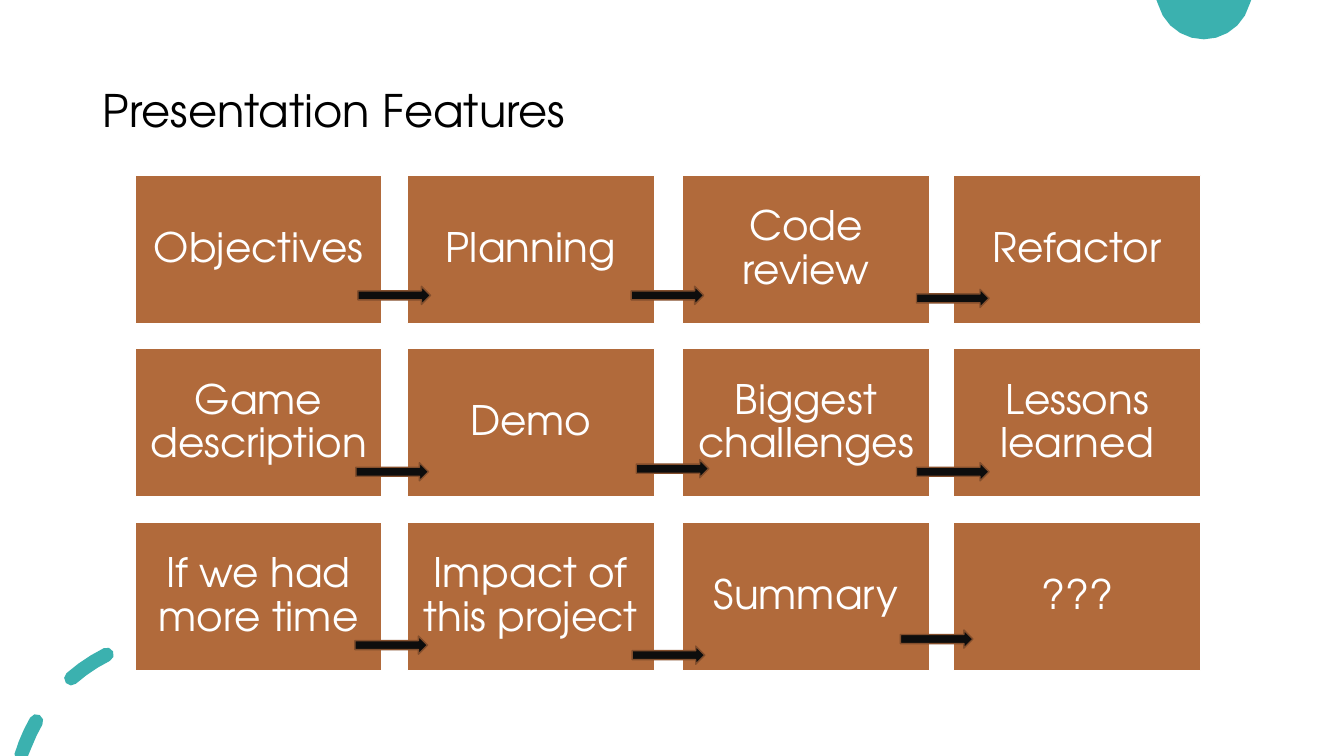
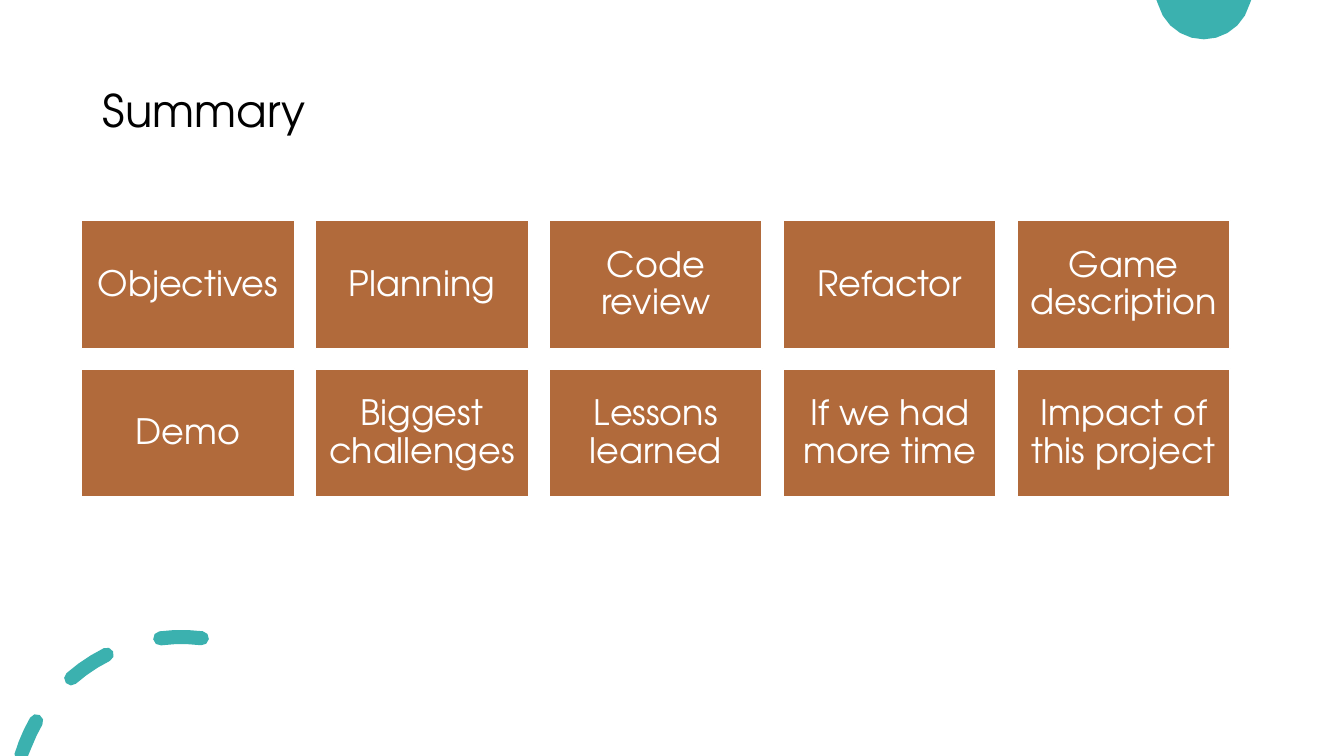
import math
import pptx
import pptx.util
import pptx.dml.color
import pptx.enum.shapes
import pptx.enum.text

Inches = pptx.util.Inches
Pt = pptx.util.Pt
SHAPE = pptx.enum.shapes.MSO_SHAPE
ALIGN = pptx.enum.text.PP_ALIGN

WIDE, HIGH = 13.33, 7.5
FACE = "TeX Gyre Adventor"
TEAL, RUST, BROWN = "3BB1AF", "B16A3B", "834E2C"
BLACK, INK, WHITE = "000000", "0D0D0D", "FFFFFF"

ARC = (1.8, 7.98, 1.66)
BRUSH = 0.07
DASHES = [(150.2, 163.2), (116.5, 131.2), (83, 97.3)]
DISC = (11.94, -0.08, 0.47)

TOPICS = ["Objectives", "Planning", "Code review", "Refactor",
          "Game description", "Demo", "Biggest challenges",
          "Lessons learned", "If we had more time",
          "Impact of this project"]
ARROWS = [(3.55, 2.84), (6.26, 2.84), (9.09, 2.87),
          (3.53, 4.59), (6.31, 4.56), (9.09, 4.59),
          (3.52, 6.31), (6.27, 6.41), (8.93, 6.25)]


def color(code):
    return pptx.dml.color.RGBColor.from_string(code)


def assign(item, values):
    for name, value in values.items():
        setattr(item, name, value)


def paint(shape, fill, line=None):
    shape.shadow.inherit = False
    shape.fill.solid()
    shape.fill.fore_color.rgb = color(fill)
    if line:
        shape.line.color.rgb = color(line)
        shape.line.width = Pt(1)
    else:
        shape.line.fill.background()


def write(shape, text, size, tint, align, inset):
    frame = shape.text_frame
    frame.text = text
    assign(frame, {
        "word_wrap": True,
        "auto_size": pptx.enum.text.MSO_AUTO_SIZE.NONE,
        "vertical_anchor": pptx.enum.text.MSO_ANCHOR.MIDDLE,
        "margin_left": Inches(inset),
        "margin_right": Inches(inset),
        "margin_top": Inches(inset),
        "margin_bottom": Inches(inset),
    })
    para = frame.paragraphs[0]
    assign(para, {"alignment": align, "line_spacing": 0.9})
    font = para.runs[0].font
    assign(font, {"name": FACE, "size": Pt(size), "bold": False})
    font.color.rgb = color(tint)


def sweep(mid, start, end, steps):
    left, top, reach = mid
    turns = [math.radians(start + (end - start) * step / steps)
             for step in range(steps + 1)]
    return [(left + reach * math.cos(turn), top - reach * math.sin(turn))
            for turn in turns]


def dash(start, end):
    left, top, reach = ARC
    head, tail = sweep(ARC, start, end, 1)
    return (sweep((*head, BRUSH), start + 180, start + 360, 4)
            + sweep((left, top, reach + BRUSH), start, end, 3)[1:-1]
            + sweep((*tail, BRUSH), end, end + 180, 4)
            + sweep((left, top, reach - BRUSH), end, start, 3)[1:-1])


def outline(slide, loops):
    pen = None
    for loop in loops:
        spots = [(Inches(left), Inches(min(max(top, 0), HIGH)))
                 for left, top in loop]
        if pen:
            pen.move_to(*spots[0])
        else:
            pen = slide.shapes.build_freeform(*spots[0])
        pen.add_line_segments(spots[1:], close=True)
    paint(pen.convert_to_shape(), TEAL)


def page(deck, text):
    slide = deck.slides.add_slide(deck.slide_layouts[5])
    title = slide.shapes.title
    assign(title, {"left": Inches(0.92), "top": Inches(0.4),
                   "width": Inches(11.5), "height": Inches(1.45)})
    write(title, text, 32, BLACK, ALIGN.LEFT, 0.1)
    outline(slide, [sweep(DISC, 180, 360, 12)])
    outline(slide, [dash(*span) for span in DASHES])
    return slide


def block(slide, kind, box, fill, line):
    shape = slide.shapes.add_shape(kind, *map(Inches, box))
    paint(shape, fill, line)
    return shape


def grid(slide, texts, lefts, tops, width, height, size, inset):
    spots = [(left, top) for top in tops for left in lefts]
    for text, spot in zip(texts, spots):
        card = block(slide, SHAPE.RECTANGLE, (*spot, width, height),
                     RUST, WHITE)
        write(card, text, size, WHITE, ALIGN.CENTER, inset)


def agenda(deck):
    slide = page(deck, "Presentation Features")
    tops = [1.74 + 1.72 * row for row in range(3)]
    grid(slide, TOPICS + ["Summary", "???"], (1.34, 4.04, 6.77, 9.46),
         tops, 2.45, 1.47, 29, 0.12)
    for spot in ARROWS:
        block(slide, SHAPE.RIGHT_ARROW, (*spot, 0.72, 0.18), INK, BROWN)


def recap(deck):
    slide = page(deck, "Summary")
    lefts = [0.81 + 2.32 * col for col in range(5)]
    grid(slide, TOPICS, lefts, (2.19, 3.66), 2.11, 1.27, 25, 0.1)


def main():
    deck = pptx.Presentation()
    assign(deck, {"slide_width": Inches(WIDE), "slide_height": Inches(HIGH)})
    agenda(deck)
    recap(deck)
    deck.save("out.pptx")


if __name__ == "__main__":
    main()
